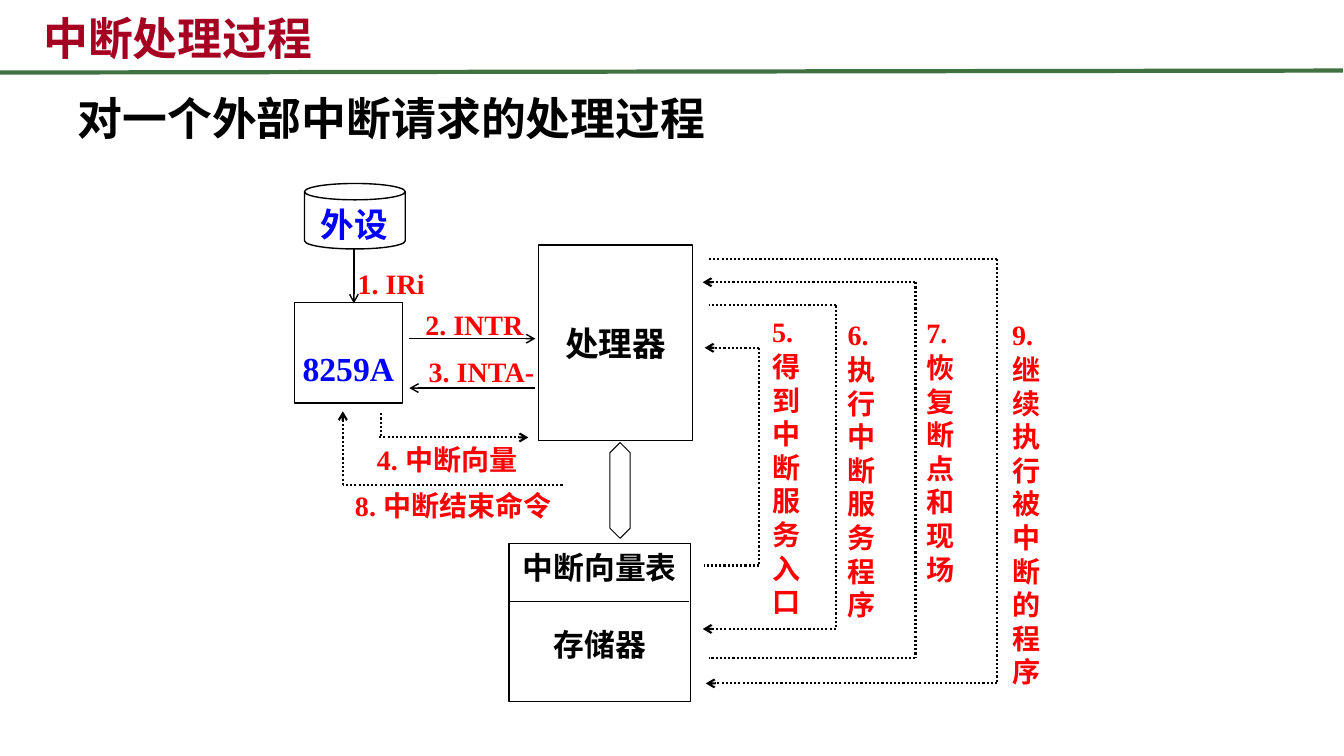
"""Build the slide on how an external interrupt request is handled."""
from lxml import etree
from pptx import Presentation
from pptx.dml.color import RGBColor
from pptx.enum import dml, shapes, text
from pptx.oxml import ns
from pptx.util import Inches, Pt

BLACK = RGBColor(0x00, 0x00, 0x00)
WHITE = RGBColor(0xFF, 0xFF, 0xFF)
RED = RGBColor(0xFF, 0x00, 0x00)
BLUE = RGBColor(0x00, 0x00, 0xFF)
CRIMSON = RGBColor(0xA5, 0x00, 0x21)
GREEN = RGBColor(0x3F, 0x71, 0x41)
LATIN = "Times New Roman"
CHINESE = "Noto Sans CJK SC"
LEFT, CENTER, JUSTIFY = text.PP_ALIGN.LEFT, text.PP_ALIGN.CENTER, text.PP_ALIGN.JUSTIFY
TOP, MIDDLE, BOTTOM = text.MSO_ANCHOR.TOP, text.MSO_ANCHOR.MIDDLE, text.MSO_ANCHOR.BOTTOM


def write(box, lines, size, color, align=CENTER, anchor=TOP, gap=1, font=LATIN):
    frame = box.text_frame
    frame.word_wrap = True
    frame.auto_size = text.MSO_AUTO_SIZE.NONE
    frame.vertical_anchor = anchor
    for index, line in enumerate(lines):
        para = frame.add_paragraph() if index else frame.paragraphs[0]
        para.alignment = align
        para.line_spacing = Pt(size * 1.2)
        para.space_before = Pt(gap if index else 0)
        span = para.add_run()
        span.text = line
        span.font.name = font
        span.font.size = Pt(size)
        span.font.bold = True
        span.font.color.rgb = color
        etree.SubElement(span.font._element, ns.qn("a:ea"), typeface=CHINESE)


def draw_line(start, end, width=1, arrow=False, dotted=False, color=BLACK):
    points = [Inches(value) for value in (*start, *end)]
    line = page.shapes.add_connector(shapes.MSO_CONNECTOR.STRAIGHT, *points)
    line.line.color.rgb = color
    line.line.width = Pt(width)
    if dotted:
        line.line.dash_style = dml.MSO_LINE.ROUND_DOT
    if arrow:
        etree.SubElement(line.line._get_or_add_ln(), ns.qn("a:tailEnd"), type="arrow")
    etree.SubElement(line._element.spPr, ns.qn("a:effectLst"))


deck = Presentation()
deck.slide_width, deck.slide_height = Inches(13.33), Inches(7.5)
page = deck.slides.add_slide(deck.slide_layouts[1])
draw_line((0, 0.72), (13.32, 0.7), width=3, color=GREEN)

title, subtitle = page.placeholders
for box, place in ((title, (0.33, 0.05, 9.45, 0.64)), (subtitle, (0.67, 0.85, 8.75, 0.7))):
    box.left, box.top, box.width, box.height = map(Inches, place)
write(title, ["中断处理过程"], 32, CRIMSON, LEFT, BOTTOM, font=CHINESE)
properties = subtitle.text_frame.paragraphs[0]._p.get_or_add_pPr()
properties.set("marL", "0")
properties.set("indent", "0")
etree.SubElement(properties, ns.qn("a:buNone"))
write(subtitle, ["对一个外部中断请求的处理过程"], 32, BLACK, LEFT)

blocks = {}
for name, kind, place, width, filled in (
    ("device", shapes.MSO_SHAPE.CAN, (3.02, 1.82, 1, 0.65), 1, True),
    ("controller", shapes.MSO_SHAPE.RECTANGLE, (2.92, 3, 1.07, 1), 1, False),
    ("processor", shapes.MSO_SHAPE.RECTANGLE, (5.34, 2.43, 1.53, 1.94), 1, False),
    ("memory", shapes.MSO_SHAPE.RECTANGLE, (5.05, 5.39, 1.8, 1.57), 1, False),
    ("bus", shapes.MSO_SHAPE.UP_DOWN_ARROW, (6.05, 4.39, 0.2, 0.95), 0.75, True),
):
    block = page.shapes.add_shape(kind, *map(Inches, place))
    block.shadow.inherit = False
    block.line.color.rgb = BLACK
    block.line.width = Pt(width)
    if filled:
        block.fill.solid()
        block.fill.fore_color.rgb = WHITE
    else:
        block.fill.background()
    blocks[name] = block
blocks["device"].adjustments[0] = 0.25
blocks["bus"].adjustments[0] = 0.5
blocks["bus"].adjustments[1] = 1.01

controller_frame = blocks["controller"].text_frame
controller_frame.margin_left = controller_frame.margin_right = Inches(0.06)
controller_frame.margin_bottom = Inches(0.15)
write(blocks["controller"], ["8259A"], 24, BLUE, anchor=BOTTOM)
write(blocks["processor"], ["处理器"], 24, BLACK, anchor=MIDDLE)
write(blocks["memory"], ["中断向量表", "存储器"], 22, BLACK, gap=29)
draw_line((5.04, 5.97), (6.83, 5.97), width=0.75)

for start, end in (
    ((3.51, 2.47), (3.51, 3.01)),
    ((4.06, 3.36), (5.31, 3.36)),
    ((5.31, 3.85), (4.06, 3.85)),
):
    draw_line(start, end, arrow=True)

for start, end, arrow in (
    ((3.78, 4.1), (3.78, 4.34), False),
    ((3.76, 4.34), (5.24, 4.34), True),
    ((5.58, 4.81), (3.4, 4.81), False),
    ((3.4, 4.81), (3.4, 4.08), True),
):
    draw_line(start, end, 1.5, arrow, dotted=True)

for spine, upper, lower, upward in (
    (7.53, (6.99, 3.45), (6.98, 5.61), True),
    (8.29, (7.03, 3.03), (6.97, 6.24), False),
    (9.08, (6.97, 2.8), (7.03, 6.53), True),
    (9.89, (7.03, 2.57), (7, 6.78), False),
):
    draw_line((spine, upper[1]), upper, 1.5, upward, dotted=True)
    draw_line((spine, upper[1]), (spine, lower[1]), 1.5, dotted=True)
    draw_line((spine, lower[1]), lower, 1.5, not upward, dotted=True)

for lines, place, size, color, align in (
    (["外设"], (2.98, 1.97, 1.07, 0.49), 24, BLUE, CENTER),
    (["1. IRi"], (3.17, 2.59, 1.42, 0.4), 20, RED, CENTER),
    (["2. INTR"], (4.11, 3, 1.19, 0.4), 20, RED, CENTER),
    (["3. INTA-"], (4.1, 3.47, 1.35, 0.4), 20, RED, CENTER),
    (["4. 中断向量"], (3.58, 4.34, 1.71, 0.4), 20, RED, CENTER),
    (["8. 中断结束命令"], (3.34, 4.8, 2.31, 0.4), 20, RED, CENTER),
    (["5.", "得到中断服务入口"], (7.56, 3.07, 0.6, 3.1), 20, RED, JUSTIFY),
    (["6.", "执行中断服务程序"], (8.31, 3.1, 0.6, 3.1), 20, RED, JUSTIFY),
    (["7.", "恢复断点和现场"], (9.09, 3.08, 0.6, 2.8), 20, RED, JUSTIFY),
    (["9.", "继续执行被中断的程序"], (9.94, 3.1, 0.6, 3.8), 20, RED, JUSTIFY),
):
    label = page.shapes.add_textbox(*map(Inches, place))
    write(label, lines, size, color, align)

deck.save("out.pptx")
